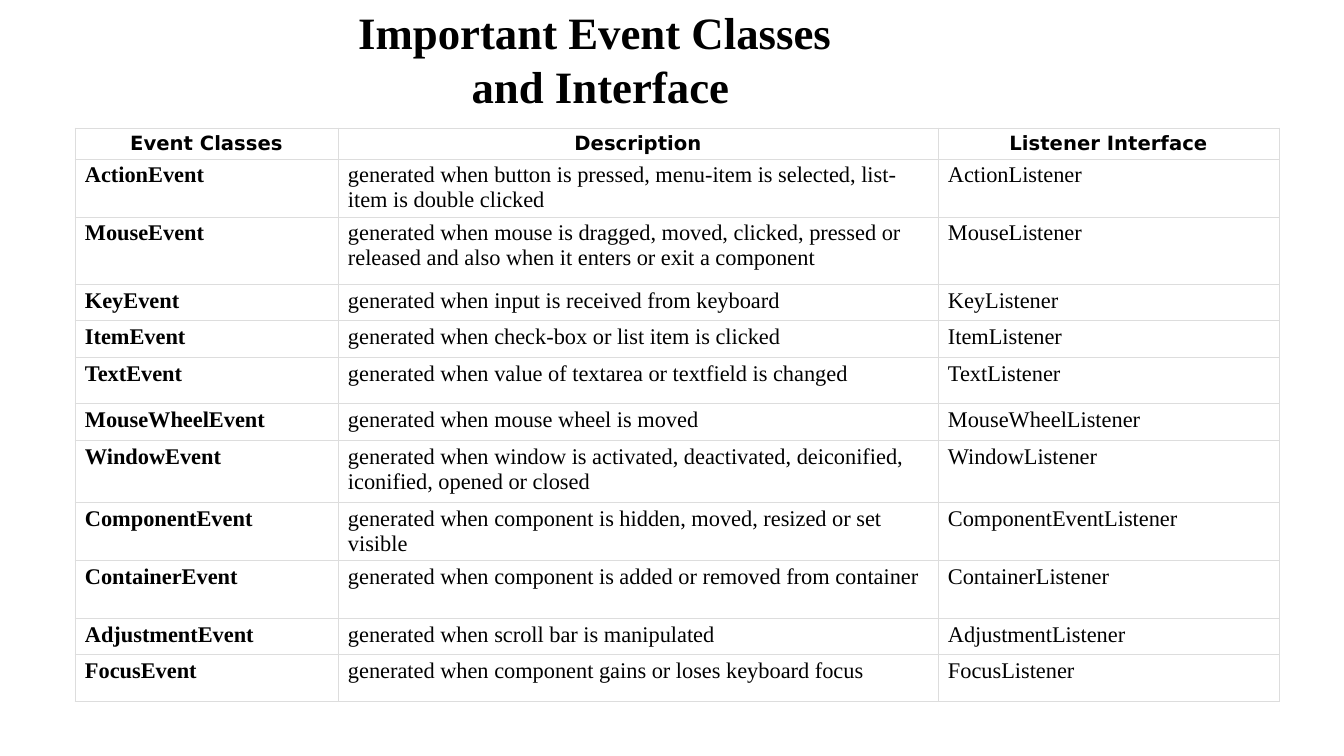
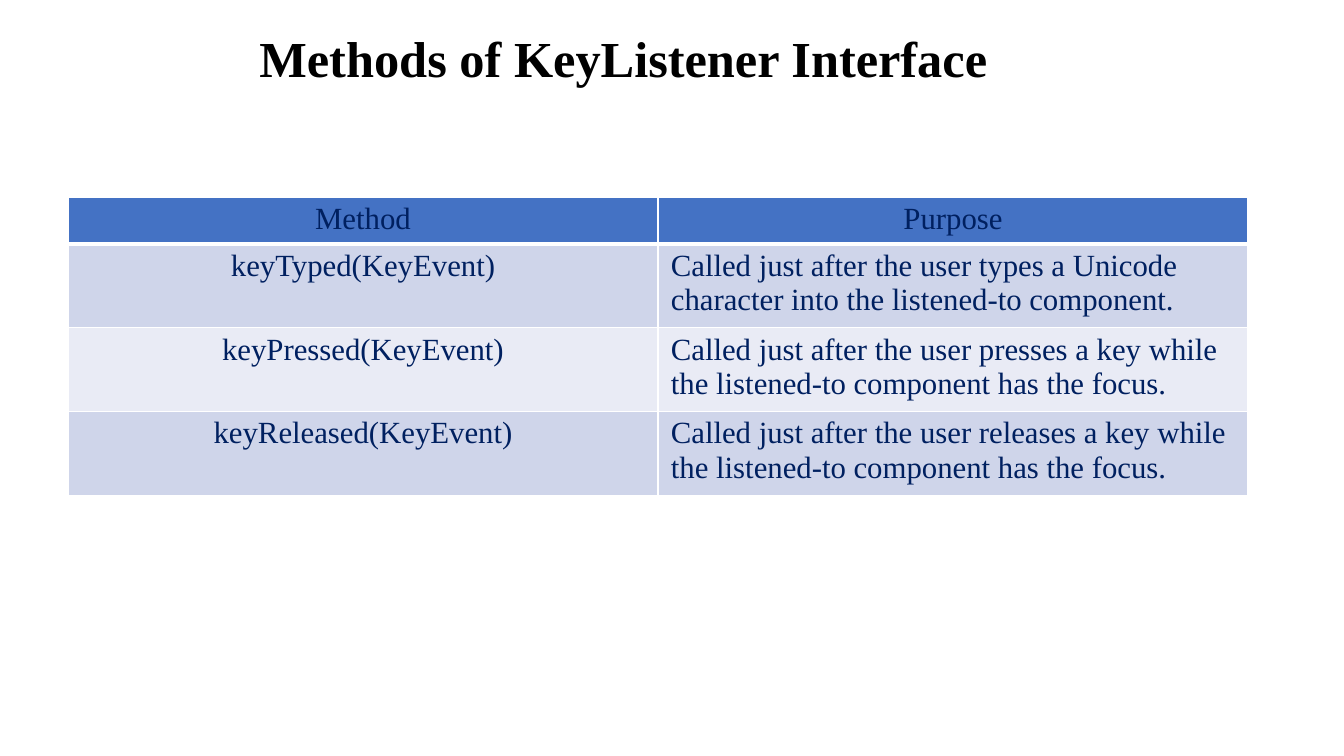
from lxml import etree
from pptx import Presentation
from pptx import util as u
from pptx.dml import color
from pptx.enum import text
from pptx.oxml import ns

# Shared style
SCALE = 914400 / 100.8
SERIF, SANS = "Times New Roman", "DejaVu Sans"
BLACK, WHITE, NAVY = "000000", "FFFFFF", "002060"
GRID, HEADER_BLUE = "DDDDDD", "4472C4"
BANDS = ["CFD5EA", "E9EBF5"]
LEFT, CENTER = text.PP_ALIGN.LEFT, text.PP_ALIGN.CENTER

# Each row: height, then one text per column
EVENT_ROWS = [
    (31, "Event Classes", "Description", "Listener Interface"),
    (58, "ActionEvent",
     "generated when button is pressed, menu-item is selected, list-item is double clicked",
     "ActionListener"),
    (68, "MouseEvent",
     "generated when mouse is dragged, moved, clicked, pressed or released "
     "and also when it enters or exit a component", "MouseListener"),
    (36, "KeyEvent", "generated when input is received from keyboard", "KeyListener"),
    (37, "ItemEvent", "generated when check-box or list item is clicked", "ItemListener"),
    (46, "TextEvent", "generated when value of textarea or textfield is changed",
     "TextListener"),
    (37, "MouseWheelEvent", "generated when mouse wheel is moved", "MouseWheelListener"),
    (62, "WindowEvent",
     "generated when window is activated, deactivated, deiconified, "
     "iconified, opened or closed", "WindowListener"),
    (58, "ComponentEvent",
     "generated when component is hidden, moved, resized or set visible",
     "ComponentEventListener"),
    (58, "ContainerEvent", "generated when component is added or removed from container",
     "ContainerListener"),
    (36, "AdjustmentEvent", "generated when scroll bar is manipulated",
     "AdjustmentListener"),
    (47, "FocusEvent", "generated when component gains or loses keyboard focus",
     "FocusListener"),
]
KEY_ROWS = [
    (44, "Method", "Purpose"),
    (78, "keyTyped(KeyEvent)",
     "Called just after the user types a Unicode character into the listened-to component."),
    (78, "keyPressed(KeyEvent)",
     "Called just after the user presses a key while the listened-to component has the focus."),
    (78, "keyReleased(KeyEvent)",
     "Called just after the user releases a key while the listened-to component has the focus."),
]


def px(length):
    return u.Emu(round(length * SCALE))


def rgb(hex_color):
    return color.RGBColor.from_string(hex_color)


def add_span(para, words, size, font=SERIF, hex_color=BLACK, bold=False, align=LEFT):
    para.alignment = align
    span = para.add_run()
    span.text = words
    span.font.name = font
    span.font.size = u.Pt(size)
    span.font.bold = bold
    span.font.color.rgb = rgb(hex_color)


def add_title(page, bounds, lines, size, wrap=True, spacing=1.0):
    box = page.shapes.add_textbox(*map(px, bounds))
    frame = box.text_frame
    frame.word_wrap = wrap
    if wrap:
        frame.vertical_anchor = text.MSO_ANCHOR.MIDDLE
    else:
        frame.auto_size = text.MSO_AUTO_SIZE.SHAPE_TO_FIT_TEXT
    for index, line in enumerate(lines):
        para = frame.add_paragraph() if index else frame.paragraphs[0]
        para.line_spacing = spacing
        add_span(para, line, size, bold=True, align=CENTER)


def set_borders(cell, hex_color, width, bottom_width):
    # Border elements come before the fill
    properties = cell._tc.get_or_add_tcPr()
    for index, side in enumerate(["lnL", "lnR", "lnT", "lnB"]):
        points = bottom_width if side == "lnB" else width
        line = etree.Element(ns.qn(f"a:{side}"), w=str(u.Pt(points)))
        fill = etree.SubElement(line, ns.qn("a:solidFill"))
        etree.SubElement(fill, ns.qn("a:srgbClr"), val=hex_color)
        properties.insert(index, line)


def add_grid(page, left, top, widths, rows, insets, border, look):
    """look(row, column) gives the fill and the text style of a cell."""
    heights = [row[0] for row in rows]
    frame = page.shapes.add_table(len(rows), len(widths), px(left), px(top),
                                  px(sum(widths)), px(sum(heights)))
    table = frame.table
    table.horz_banding = False
    for column, width in zip(table.columns, widths):
        column.width = px(width)
    side, edge = map(px, insets)
    for r, (height, *words) in enumerate(rows):
        table.rows[r].height = px(height)
        for c, word in enumerate(words):
            cell = table.cell(r, c)
            fill, style = look(r, c)
            cell.margin_left = cell.margin_right = side
            cell.margin_top = cell.margin_bottom = edge
            cell.fill.solid()
            cell.fill.fore_color.rgb = rgb(fill)
            hex_color, width, header_width = border
            set_borders(cell, hex_color, width, width if r else header_width)
            add_span(cell.text_frame.paragraphs[0], word, **style)


def event_look(row, column):
    if row == 0:
        return WHITE, dict(size=14, font=SANS, bold=True, align=CENTER)
    return WHITE, dict(size=16, bold=column == 0)


def key_look(row, column):
    fill = BANDS[(row - 1) % 2] if row else HEADER_BLUE
    align = LEFT if row and column else CENTER
    return fill, dict(size=22, hex_color=NAVY, align=align)


def main():
    deck = Presentation()
    deck.slide_width, deck.slide_height = px(1344), px(756)
    blank = deck.slide_layouts[6]

    # Event classes
    page = deck.slides.add_slide(blank)
    add_grid(page, 75, 128, [263, 600, 341], EVENT_ROWS, (10, 4),
             (GRID, 0.75, 0.75), event_look)
    add_title(page, (346, 0, 509, 119), ["Important Event Classes ", "and Interface"],
              32, wrap=False)

    # Key listener methods
    page = deck.slides.add_slide(blank)
    add_title(page, (166, 7, 915, 108), ["Methods of KeyListener Interface"],
              36, spacing=0.9)
    add_grid(page, 68, 197, [590, 590], KEY_ROWS, (13, 5), (WHITE, 1, 3), key_look)

    deck.save("out.pptx")


if __name__ == "__main__":
    main()
